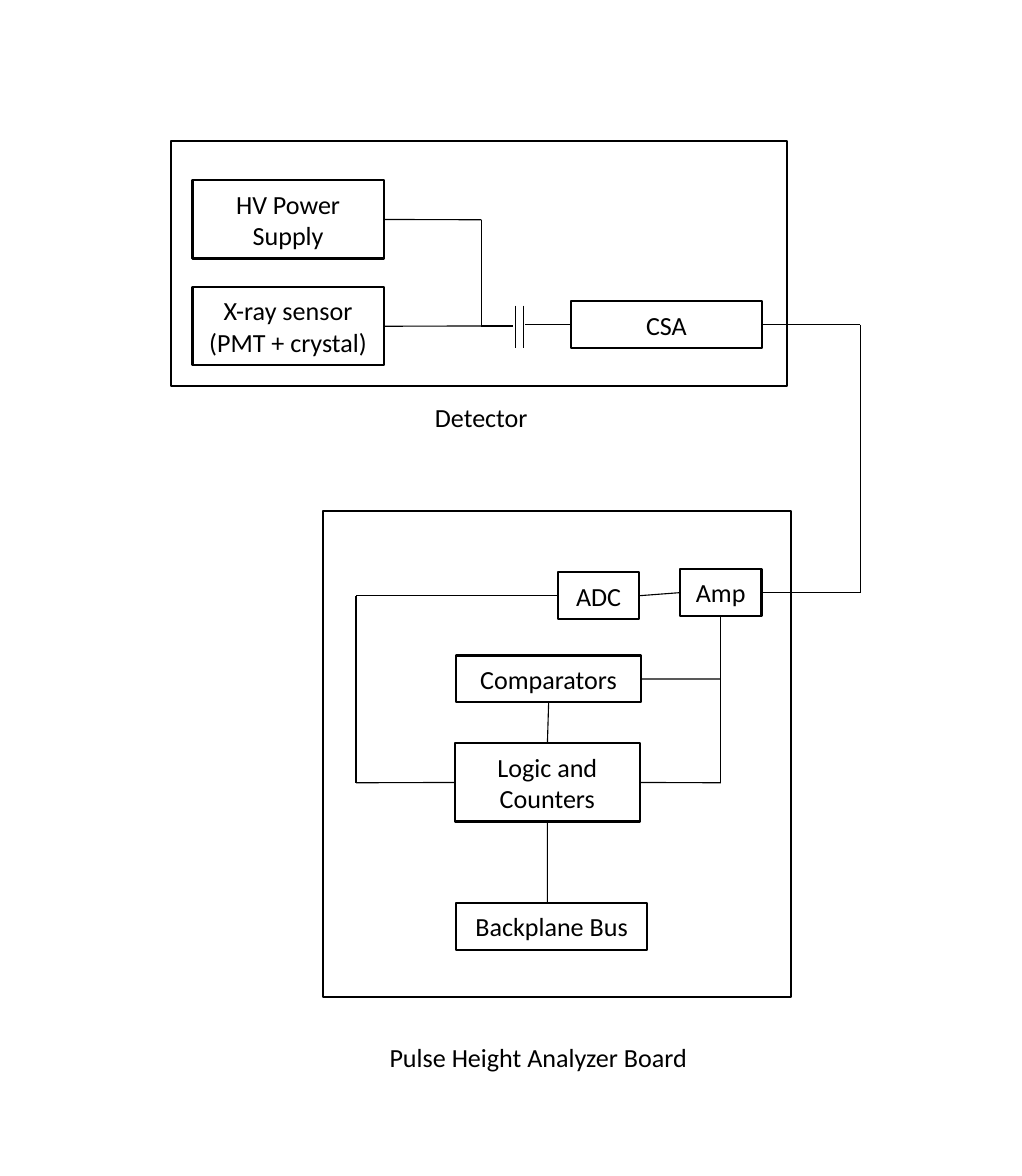
from pptx import Presentation
from pptx.dml.color import RGBColor
from pptx.enum.shapes import MSO_CONNECTOR as Link, MSO_SHAPE as Shape
from pptx.enum.text import MSO_ANCHOR as Anchor, MSO_AUTO_SIZE as Auto, PP_ALIGN as Align
from pptx.oxml.ns import qn
from pptx.util import Cm, Pt
from lxml.etree import SubElement

BLACK, WHITE = "000000", "FFFFFF"
TOP, LEFT, BOTTOM, RIGHT = range(4)
ONE, TWO = 0.76, 1.27

FRAMES = [(2.77, 2.29, 9.98, 3.96), (5.23, 8.28, 7.59, 7.87)]
BOXES = {
    "hv": ("HV Power Supply", 3.12, 2.92, 3.1, TWO),
    "sensor": ("X-ray sensor (PMT + crystal)", 3.12, 4.65, 3.1, TWO),
    "csa": ("CSA", 9.25, 4.88, 3.1, ONE),
    "amp": ("Amp", 11.02, 9.22, 1.32, ONE),
    "adc": ("ADC", 9.04, 9.27, 1.32, ONE),
    "comp": ("Comparators", 7.39, 10.62, 3, ONE),
    "logic": ("Logic and Counters", 7.37, 12.04, 3, TWO),
    "bus": ("Backplane Bus", 7.39, 14.63, 3.1, ONE),
}
LABELS = [
    ("Detector", 6.25, 6.38, 3.1, ONE),
    ("Pulse Height Analyzer Board", 5.84, 16.74, 5.77, ONE),
]

NODE = (7.8, 5.28)
TAP = (11.68, 11)
WIRES = [
    [("hv", RIGHT), (7.8, 3.56), NODE, (8.31, 5.28)],
    [("sensor", RIGHT), NODE],
    [(8.36, 4.95), (8.36, 5.64)],
    [(8.48, 4.95), (8.48, 5.64)],
    [(8.51, 5.26), ("csa", LEFT)],
    [("csa", RIGHT), (13.94, 5.26), (13.94, 9.6), ("amp", RIGHT)],
    [("adc", RIGHT), ("amp", LEFT)],
    [("amp", BOTTOM), TAP, (11.68, 12.68), ("logic", RIGHT)],
    [("comp", RIGHT), TAP],
    [("comp", BOTTOM), ("logic", TOP)],
    [("adc", LEFT), (5.77, 9.65), (5.77, 12.68), ("logic", LEFT)],
    [("logic", BOTTOM), (8.87, 14.63)],
]


def paint(part, color):
    part.solid()
    part.fore_color.rgb = RGBColor.from_string(color)


def draw_rect(place, edge=True, fill=True):
    rect = slide.shapes.add_shape(Shape.RECTANGLE, *map(Cm, place))
    rect.shadow.inherit = False
    if fill:
        paint(rect.fill, WHITE)
    else:
        rect.fill.background()
    if edge:
        paint(rect.line.fill, BLACK)
        rect.line.width = Pt(1)
    else:
        rect.line.fill.background()
    return rect


def draw_box(text, *place, edge=True):
    box = draw_rect(place, edge)
    frame = box.text_frame
    frame.word_wrap = True
    frame.auto_size = Auto.SHAPE_TO_FIT_TEXT
    frame.vertical_anchor = Anchor.TOP
    frame.margin_left = frame.margin_right = Cm(0.2)
    para = frame.paragraphs[0]
    para.alignment = Align.CENTER
    run = para.add_run()
    run.text = text
    run.font.name = "Calibri"
    run.font.size = Pt(12)
    paint(run.font.fill, BLACK)
    return box


def find(end):
    if end[0] not in BOXES:
        return end
    name, side = end
    _, x, y, w, h = BOXES[name]
    return [(x + w / 2, y), (x, y + h / 2), (x + w / 2, y + h), (x + w, y + h / 2)][side]


def draw_line(start, stop):
    line = slide.shapes.add_connector(Link.STRAIGHT, *map(Cm, (*find(start), *find(stop))))
    paint(line.line.fill, BLACK)
    line.line.width = Pt(0.5)
    SubElement(line._element.spPr, qn("a:effectLst"))
    for end, join in ((start, line.begin_connect), (stop, line.end_connect)):
        if end[0] in boxes:
            join(boxes[end[0]], end[1])


deck = Presentation()
deck.slide_width, deck.slide_height = Cm(16.56), Cm(19.05)
slide = deck.slides.add_slide(deck.slide_layouts[6])

for place in FRAMES:
    draw_rect(place, fill=False)
boxes = {name: draw_box(*box) for name, box in BOXES.items()}
for label in LABELS:
    draw_box(*label, edge=False)
for wire in WIRES:
    for start, stop in zip(wire, wire[1:]):
        draw_line(start, stop)

deck.save("out.pptx")
